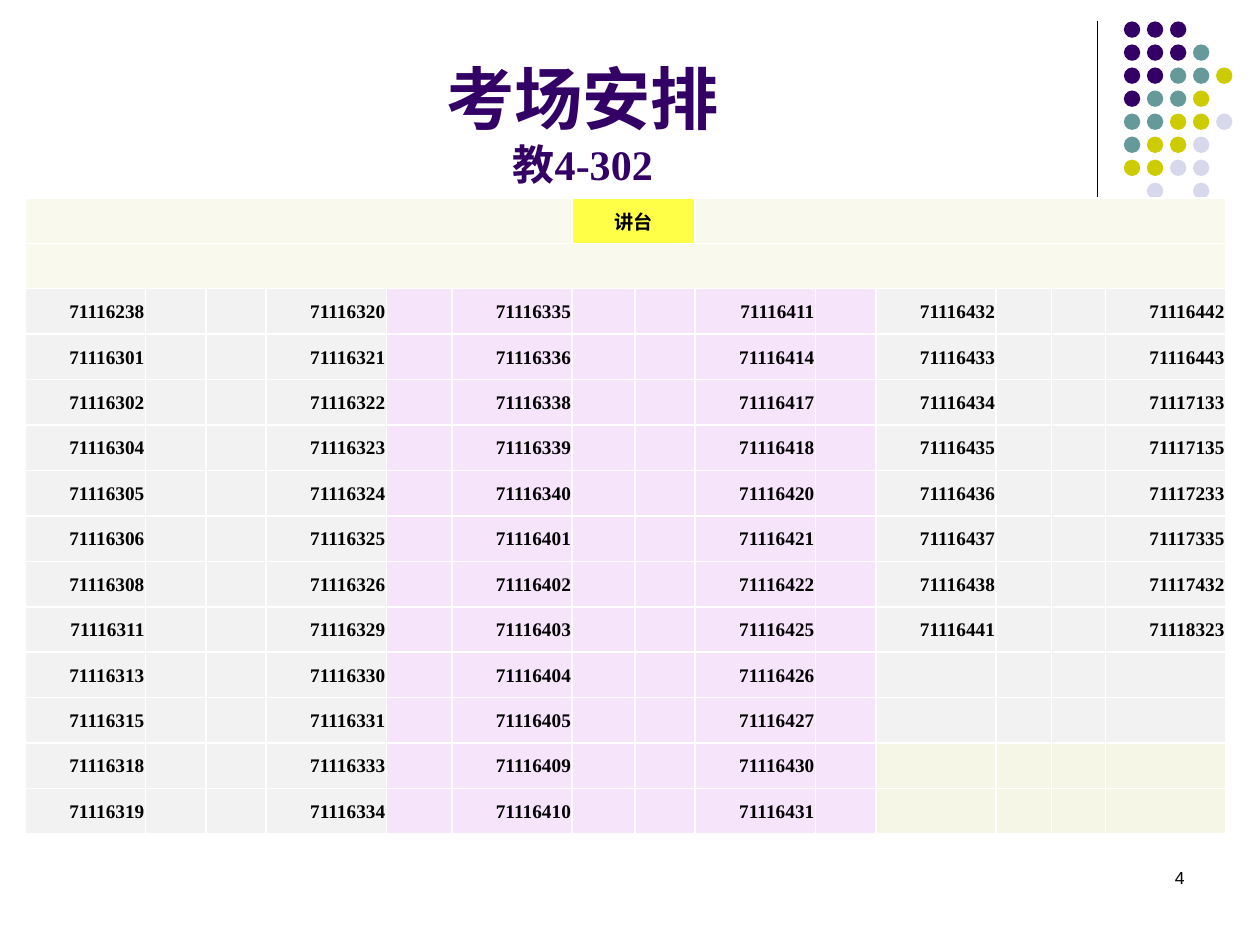
from dataclasses import dataclass
from typing import Optional

from lxml.etree import SubElement
from pptx import Presentation
from pptx.dml.color import RGBColor
from pptx.enum.shapes import MSO_CONNECTOR, MSO_SHAPE
from pptx.enum.text import MSO_ANCHOR, MSO_AUTO_SIZE, PP_ALIGN
from pptx.oxml.ns import qn
from pptx.util import Inches, Pt


@dataclass(frozen=True)
class Theme:
    purple: str = "330066"
    teal: str = "669999"
    olive: str = "CCCC00"
    lavender: str = "D8D8EC"
    black: str = "000000"
    white: str = "FFFFFF"
    front: str = "F9F9EE"
    podium: str = "FFFF47"
    side_block: str = "F2F2F2"
    middle_block: str = "F5E4FA"
    unused: str = "F6F6E7"
    sans: str = "Arial"
    serif: str = "Times New Roman"
    title_size: float = 39
    room_size: float = 24
    cell_size: float = 11
    number_size: float = 10


@dataclass(frozen=True)
class SeatColumn:
    column: int
    student_ids: str


THEME = Theme()

# One letter per dot: purple, teal, olive, lavender; a point leaves a gap
DOT_ROWS = ["PPP", "PPPT", "PPTTO", "PTTO", "TTOOL", "TOOL", "OOLL", ".L.L"]
DOT_COLORS = {"P": THEME.purple, "T": THEME.teal,
              "O": THEME.olive, "L": THEME.lavender}
DOT_PITCH = 1.28 / 7
DOT_SIZE = 0.13

TABLE_WIDTH, TABLE_HEIGHT = 9.53, 5.05
ROW_COUNT = 14
FIRST_SEAT_ROW = 2
FIRST_UNUSED_ROW = 12
COLUMN_SHARES = [0.96, 0.48, 0.48, 0.96, 0.52, 0.96, 0.5,
                 0.48, 0.96, 0.48, 0.96, 0.44, 0.43, 0.96]
SEAT_COLUMNS = [
    SeatColumn(0, "71116238 71116301 71116302 71116304 71116305 71116306 "
                  "71116308 71116311 71116313 71116315 71116318 71116319"),
    SeatColumn(3, "71116320 71116321 71116322 71116323 71116324 71116325 "
                  "71116326 71116329 71116330 71116331 71116333 71116334"),
    SeatColumn(5, "71116335 71116336 71116338 71116339 71116340 71116401 "
                  "71116402 71116403 71116404 71116405 71116409 71116410"),
    SeatColumn(8, "71116411 71116414 71116417 71116418 71116420 71116421 "
                  "71116422 71116425 71116426 71116427 71116430 71116431"),
    SeatColumn(10, "71116432 71116433 71116434 71116435 "
                   "71116436 71116437 71116438 71116441"),
    SeatColumn(13, "71116442 71116443 71117133 71117135 "
                   "71117233 71117335 71117432 71118323"),
]


def rgb(color: str) -> RGBColor:
    return RGBColor.from_string(color)


def add_run(paragraph, text: str, size: float, font_name: str,
            color: str, bold: bool = False) -> None:
    run = paragraph.add_run()
    run.text = text
    run.font.size = Pt(size)
    run.font.name = font_name
    run.font.bold = bold
    run.font.color.rgb = rgb(color)


def add_decoration(slide) -> None:
    line = slide.shapes.add_connector(
        MSO_CONNECTOR.STRAIGHT, Inches(8.71), Inches(0.17), Inches(8.71), Inches(1.83))
    line.line.color.rgb = rgb(THEME.black)
    line.line.width = Pt(0.75)
    SubElement(line._element.spPr, qn("a:effectLst"))

    dots = slide.shapes.add_group_shape()
    for row, letters in enumerate(DOT_ROWS):
        for column, letter in enumerate(letters):
            if letter not in DOT_COLORS:
                continue
            dot = dots.shapes.add_shape(
                MSO_SHAPE.OVAL,
                Inches(8.92 + column * DOT_PITCH), Inches(0.17 + row * DOT_PITCH),
                Inches(DOT_SIZE), Inches(DOT_SIZE))
            dot.shadow.inherit = False
            dot.fill.solid()
            dot.fill.fore_color.rgb = rgb(DOT_COLORS[letter])
            dot.line.fill.background()


def format_title(slide) -> None:
    title = slide.shapes.title
    title.left, title.top = Inches(0.5), Inches(0.13)
    title.width, title.height = Inches(8.25), Inches(1.42)
    frame = title.text_frame
    frame.auto_size = MSO_AUTO_SIZE.NONE
    frame.vertical_anchor = MSO_ANCHOR.BOTTOM
    paragraph = frame.paragraphs[0]
    paragraph.alignment = PP_ALIGN.CENTER
    add_run(paragraph, "考场安排", THEME.title_size, THEME.sans, THEME.purple, True)
    paragraph.add_line_break()
    add_run(paragraph, "教4-302", THEME.room_size, THEME.serif, THEME.purple, True)


def add_page_number(slide) -> None:
    box = slide.shapes.add_textbox(Inches(7.17), Inches(6.83), Inches(2.33), Inches(0.5))
    box.text_frame.word_wrap = True
    paragraph = box.text_frame.paragraphs[0]
    paragraph.alignment = PP_ALIGN.RIGHT
    add_run(paragraph, "4", THEME.number_size, THEME.sans, THEME.black)


def cell_color(row: int, column: int) -> str:
    if row < FIRST_SEAT_ROW:
        return THEME.podium if row == 0 and column in (6, 7) else THEME.front
    if 4 <= column <= 9:
        return THEME.middle_block
    if column >= 10 and row >= FIRST_UNUSED_ROW:
        return THEME.unused
    return THEME.side_block


def style_cell(cell, color: str) -> None:
    cell.margin_left = cell.margin_right = cell.margin_top = Inches(0.01)
    cell.margin_bottom = 0
    cell.vertical_anchor = MSO_ANCHOR.MIDDLE
    properties = cell._tc.get_or_add_tcPr()
    for side in ("a:lnL", "a:lnR", "a:lnT", "a:lnB"):
        border = SubElement(properties, qn(side), w=str(Pt(1)))
        border_fill = SubElement(border, qn("a:solidFill"))
        SubElement(border_fill, qn("a:srgbClr"), val=THEME.white)
    cell.fill.solid()
    cell.fill.fore_color.rgb = rgb(color)


def write_cell(cell, text: str, alignment: Optional[PP_ALIGN] = PP_ALIGN.RIGHT) -> None:
    paragraph = cell.text_frame.paragraphs[0]
    paragraph.alignment = alignment
    add_run(paragraph, text, THEME.cell_size, THEME.serif, THEME.black, True)


def add_seating_table(slide) -> None:
    table = slide.shapes.add_table(
        ROW_COUNT, len(COLUMN_SHARES), Inches(0.2), Inches(1.57),
        Inches(TABLE_WIDTH), Inches(TABLE_HEIGHT)).table
    table.first_row = table.horz_banding = False
    for column, share in zip(table.columns, COLUMN_SHARES):
        column.width = Inches(TABLE_WIDTH * share / sum(COLUMN_SHARES))
    for row_index, row in enumerate(table.rows):
        row.height = Inches(TABLE_HEIGHT / ROW_COUNT)
        for column_index, cell in enumerate(row.cells):
            style_cell(cell, cell_color(row_index, column_index))

    # Front of the room: podium between two open areas, then an aisle
    for row, first, last in [(0, 0, 5), (0, 6, 7), (0, 8, 13), (1, 0, 13)]:
        table.cell(row, first).merge(table.cell(row, last))
    write_cell(table.cell(0, 6), "讲台", PP_ALIGN.CENTER)

    # Seats
    for seats in SEAT_COLUMNS:
        for row, student_id in enumerate(seats.student_ids.split(), FIRST_SEAT_ROW):
            write_cell(table.cell(row, seats.column), student_id)


def main() -> None:
    presentation = Presentation()
    presentation.slide_width, presentation.slide_height = Inches(10), Inches(7.5)
    slide = presentation.slides.add_slide(presentation.slide_layouts[5])
    add_decoration(slide)
    format_title(slide)
    add_page_number(slide)
    add_seating_table(slide)
    presentation.save("out.pptx")


if __name__ == "__main__":
    main()
